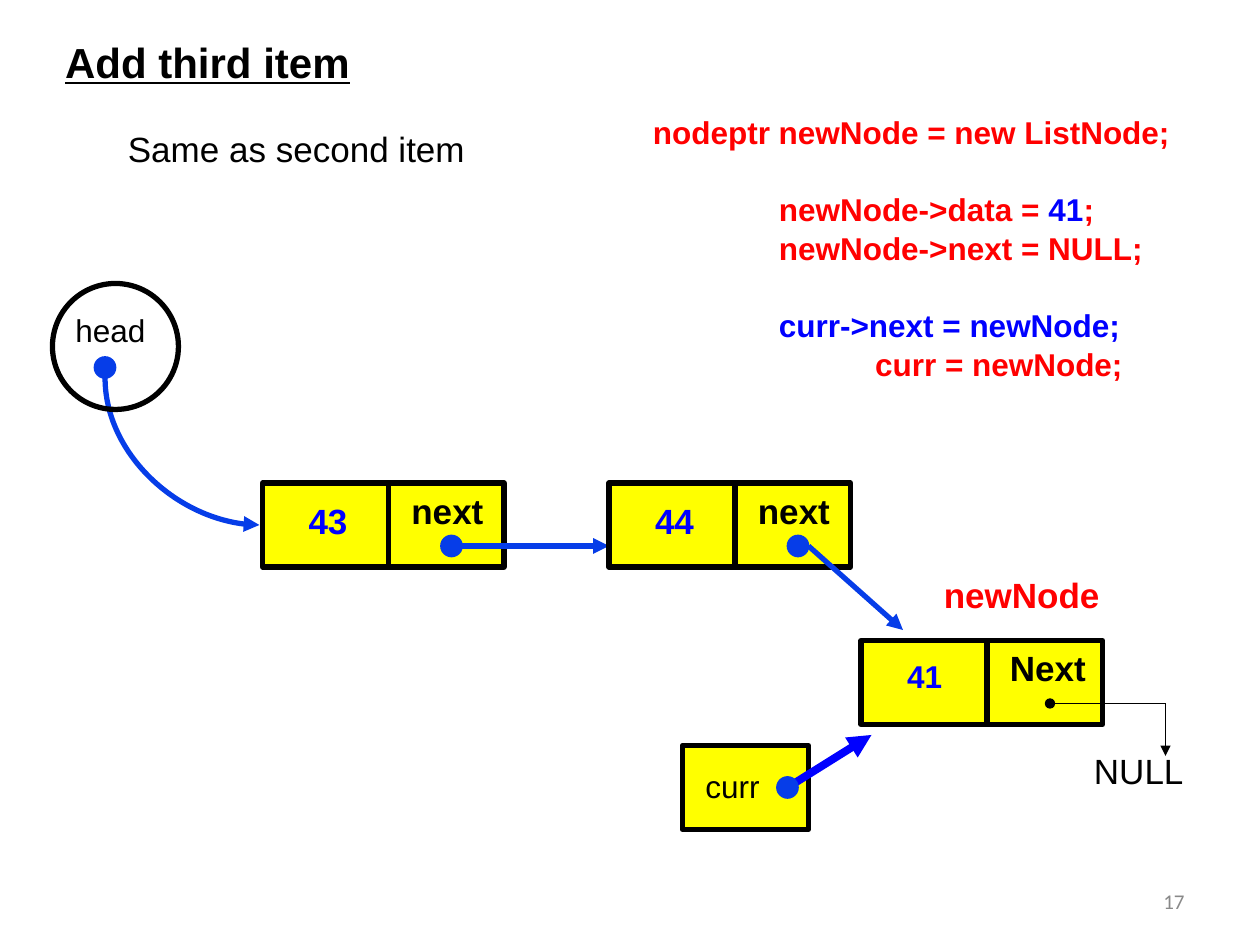
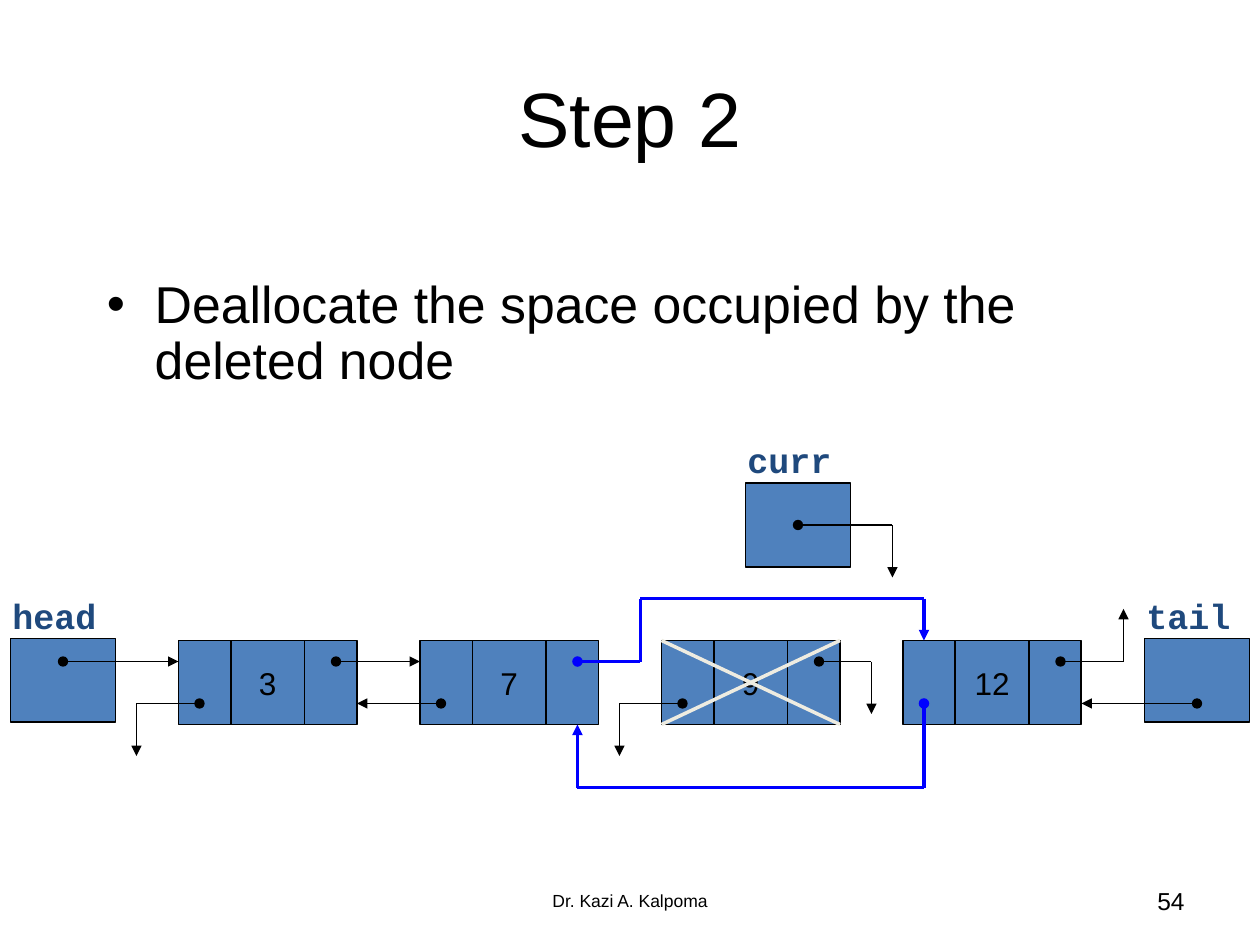
"""Builds two linked-list slides: adding a third item and deallocating a node."""
from itertools import pairwise

from lxml.etree import SubElement
from pptx import Presentation
from pptx.dml.color import RGBColor
from pptx.enum.shapes import MSO_CONNECTOR as Connector, MSO_SHAPE as Shape
from pptx.enum.text import MSO_ANCHOR as Anchor, MSO_AUTO_SIZE as AutoSize, PP_ALIGN as Align
from pptx.oxml.ns import qn
from pptx.util import Inches, Pt

BLACK, RED, BLUE, YELLOW = "000000", "FF0000", "0000FF", "FFFF00"
POINTER, STEEL, NAVY, CREAM, GREY = "063DE8", "4F81BD", "1F497D", "EEECE1", "898989"


def rgb(value):
    """Return the colour for a hex string."""
    return RGBColor.from_string(value)


def grid(*units):
    """Turn grid units of a twelfth of an inch into lengths."""
    return [Inches(unit / 12) for unit in units]


def write(frame, text, size=18, color=BLACK, bold=False, underline=False, font="Arial",
          align=Align.LEFT, indent=0, before=0, spacing=1.0, bullet=None):
    """Add one paragraph; text is a string or a list of (string, colour) runs."""
    paragraph = frame.paragraphs[0]
    if paragraph.runs:
        paragraph = frame.add_paragraph()
    properties = paragraph._p.get_or_add_pPr()
    properties.set("marL", str(Inches(indent)))
    properties.set("indent", str(-Inches(indent) if bullet else 0))
    paragraph.alignment = align
    paragraph.line_spacing = spacing
    paragraph.space_before = Pt(before)
    if bullet:
        SubElement(properties, qn("a:buFont"), typeface=font)
        SubElement(properties, qn("a:buChar"), char=bullet)
    for words, tint in [(text, color)] if isinstance(text, str) else text:
        run = paragraph.add_run()
        run.text = words
        run.font.size, run.font.name = Pt(size), font
        run.font.bold, run.font.underline = bold, underline
        run.font.color.rgb = rgb(tint)


class Deck:
    """Holds the presentation, the current slide and the drawing style."""

    def __init__(self):
        """Start an empty 10 by 7.5 inch deck."""
        self.show = Presentation()
        self.show.slide_width, self.show.slide_height = Inches(10), Inches(7.5)

    def slide(self, title, box, page, page_format, anchor=Anchor.MIDDLE, **title_format):
        """Add a titled slide with its page number."""
        self.current = self.show.slides.add_slide(self.show.slide_layouts[5])
        heading = self.current.shapes.title
        heading.left, heading.top, heading.width, heading.height = grid(*box)
        heading.text_frame.auto_size = AutoSize.NONE
        heading.text_frame.vertical_anchor = anchor
        write(heading.text_frame, title, **title_format)
        self.footer(page, 86, 28, align=Align.RIGHT, **page_format)

    def frame(self, x, y, width=20, height=5, anchor=Anchor.TOP):
        """Add a text box and return its text frame."""
        frame = self.current.shapes.add_textbox(*grid(x, y, width, height)).text_frame
        frame.word_wrap = True
        frame.vertical_anchor = anchor
        return frame

    def label(self, text, x, y, **text_format):
        """Add a one-paragraph text box."""
        write(self.frame(x, y), text, **text_format)

    def footer(self, text, x, width, **text_format):
        """Add a text in the footer row."""
        write(self.frame(x, 83.4, width, 4.8, Anchor.MIDDLE), text, **text_format)

    def shape(self, kind, x, y, width, height, fill=None, line=BLACK, weight=1, text=None):
        """Add an outlined shape, filled and captioned on request."""
        shape = self.current.shapes.add_shape(kind, *grid(x, y, width, height))
        shape.shadow.inherit = False
        if fill:
            shape.fill.solid()
            shape.fill.fore_color.rgb = rgb(fill)
        else:
            shape.fill.background()
        shape.line.color.rgb, shape.line.width = rgb(line), Pt(weight)
        if text:
            shape.text_frame.word_wrap = False
            shape.text_frame.vertical_anchor = Anchor.MIDDLE
            write(shape.text_frame, text, align=Align.CENTER)

    def dot(self, x, y):
        """Add the round start of a pointer."""
        self.shape(Shape.OVAL, x, y, 2, 2, POINTER, POINTER)

    def line(self, start, end, color, weight, head=None, tail=None, kind=Connector.STRAIGHT):
        """Add one connector with optional ends."""
        connector = self.current.shapes.add_connector(kind, *grid(*start, *end))
        connector.line.color.rgb, connector.line.width = rgb(color), Pt(weight)
        outline = connector.line._get_or_add_ln()
        for tag, end_type in (("a:headEnd", head), ("a:tailEnd", tail)):
            if end_type:
                SubElement(outline, qn(tag), type=end_type)
        SubElement(connector._element.spPr, qn("a:effectLst"))
        return connector

    def link(self, *points, color=BLACK, weight=1, head="oval", tail="triangle"):
        """Join points by lines, with ends only on the first and last."""
        for start, end in pairwise(points):
            self.line(start, end, color, weight, head if start == points[0] else None,
                      tail if end == points[-1] else None)

    def curve(self, start, end, color, weight):
        """Add a curved arrow that leaves downwards and arrives rightwards."""
        (x1, y1), (x2, y2) = start, end
        across, down = x2 - x1, y2 - y1
        left, top = x1 + (across - down) / 2, y1 + (down - across) / 2
        arrow = self.line((left, top), (left + down, top + across), color, weight,
                          tail="triangle", kind=Connector.CURVE)
        properties = arrow._element.spPr
        properties.find(qn("a:prstGeom")).set("prst", "curvedConnector2")
        properties.find(qn("a:xfrm")).set("rot", str(270 * 60000))
        properties.find(qn("a:xfrm")).set("flipH", "1")

    def single_node(self, x, y, value, field="next", value_size=20):
        """Draw a yellow node with a value cell and a next cell."""
        for cell_x, width in ((x, 12), (x + 12, 11)):
            self.shape(Shape.RECTANGLE, cell_x, y, width, 8, YELLOW, weight=3)
        self.label(field, x + 13, y, size=20, bold=True)
        self.label(value, x + 3.2, y + 1, size=value_size, color=BLUE, bold=True)

    def double_node(self, x, value):
        """Draw a node with a pointer cell on each side of its value."""
        for offset, width, text in ((5, 7, value), (0, 5, None), (12, 5, None)):
            self.shape(Shape.RECTANGLE, x + offset, 61, width, 8, STEEL, text=text)

    def named_pointer(self, name, x, y):
        """Draw a pointer variable with its name above."""
        self.shape(Shape.RECTANGLE, x, y, 10, 8, STEEL)
        self.label(name, x - 1, y - 4.8, size=20, color=NAVY, bold=True, font="Courier New")


def add_third_item(deck):
    """Draw the slide that appends a third node."""
    deck.slide("Add third item", (5, 2.9, 60, 6), "17",
               dict(size=12, font="Calibri", color=GREY),
               anchor=Anchor.TOP, size=24, bold=True, underline=True)
    deck.label("Same as second item", 11, 11.6, size=20)
    deck.current.shapes[-1].width = Inches(4)

    code = deck.frame(61, 10, 57, 26.4)
    for text, indent, before in (
            ("nodeptr newNode = new ListNode;", 0, 0),
            ([("newNode->data = ", RED), ("41", BLUE), (";", RED)], 1, 21.6),
            ("newNode->next = NULL;", 1, 0),
            ([("curr->next = newNode;", BLUE)], 1, 21.6),
            ("           curr = newNode;", 1, 0)):
        write(code, text, color=RED, bold=True, indent=indent, before=before, spacing=1.04)

    deck.label("head", 6, 29)
    deck.dot(9, 34)
    deck.single_node(25, 46, "43")
    deck.dot(42, 51)
    deck.curve((10, 36), (24.7, 50), POINTER, 3)
    deck.link((44, 52), (58, 52), color=POINTER, weight=3, head=None)
    deck.single_node(58, 46, "44")
    deck.dot(75, 51)
    deck.link((77, 52), (86, 60), color=POINTER, weight=3, head=None)
    deck.single_node(82, 61, "41", field="Next", value_size=18)
    deck.label("newNode", 88.7, 54, size=20, color=RED, bold=True)
    deck.link((100, 67), (111, 67), (111, 72))
    deck.label("NULL", 103, 70.8, size=20)
    deck.shape(Shape.RECTANGLE, 65, 71, 12, 8, YELLOW, weight=3)
    deck.label("curr", 66, 72.5)
    deck.link((75, 75), (83, 70), color=BLUE, weight=4.5, head=None)
    deck.dot(74, 74)
    deck.shape(Shape.OVAL, 5, 27, 12, 12, weight=3)


def deallocate_node(deck):
    """Draw the slide that removes a node from a doubly linked list."""
    deck.slide("Step 2", (6, 3.6, 108, 15), "54", dict(size=14), size=44, align=Align.CENTER)
    write(deck.frame(9, 26, 102, 14), "Deallocate the space occupied by the deleted node",
          size=29.6, indent=0.38, spacing=0.9, bullet="•")
    for index, value in enumerate(("3", "7", "9", "12")):
        deck.double_node(17 + 23 * index, value)
    for name, x, y in (("head", 1, 60.8), ("tail", 109, 60.8), ("curr", 71, 46)):
        deck.named_pointer(name, x, y)

    for points in (((6, 63), (17, 63)),
                   ((32, 63), (40, 63)),
                   ((42, 67), (34, 67)),
                   ((114, 67), (103, 67)),
                   ((19, 67), (13, 67), (13, 72)),
                   ((65, 67), (59, 67), (59, 72)),
                   ((78, 63), (83, 63), (83, 68)),
                   ((101, 63), (107, 63), (107, 58)),
                   ((76, 50), (85, 50), (85, 55))):
        deck.link(*points)
    for bypass in (((55, 63), (61, 63), (61, 57), (88, 57), (88, 61)),
                   ((88, 67), (88, 75), (55, 75), (55, 69))):
        deck.link(*bypass, color=BLUE, weight=2)
    for left_y, right_y in ((61, 69), (69, 61)):
        deck.link((63, left_y), (80, right_y), color=CREAM, weight=2, head=None, tail=None)
    deck.footer("Dr. Kazi A. Kalpoma", 41, 38, size=10, align=Align.CENTER)


def main():
    """Build and save the deck."""
    deck = Deck()
    add_third_item(deck)
    deallocate_node(deck)
    deck.show.save("out.pptx")


if __name__ == "__main__":
    main()
